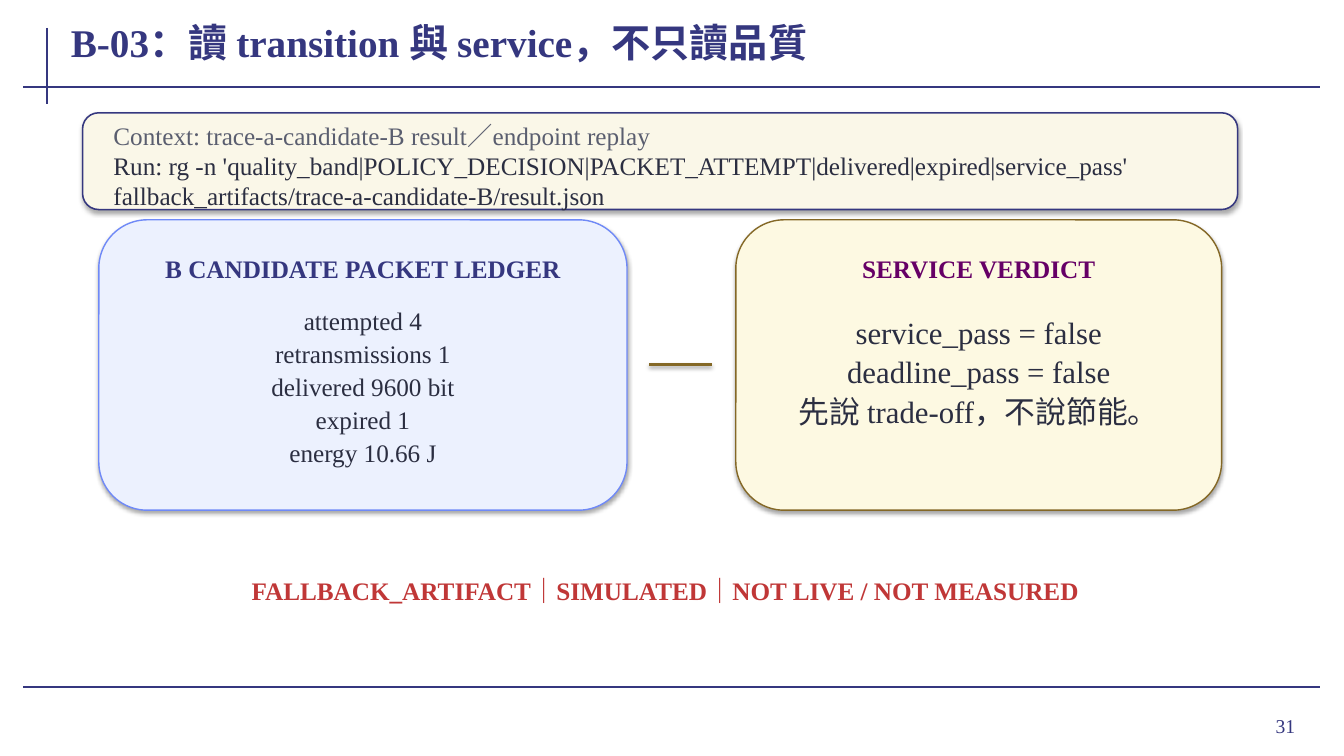
import pptx
import pptx.util
import pptx.dml.color
import pptx.enum.shapes
import pptx.enum.text
import pptx.oxml
import pptx.oxml.ns

Pt = pptx.util.Pt
RGBColor = pptx.dml.color.RGBColor
PP_ALIGN = pptx.enum.text.PP_ALIGN
MSO_ANCHOR = pptx.enum.text.MSO_ANCHOR
MSO_AUTO_SIZE = pptx.enum.text.MSO_AUTO_SIZE

NAVY = RGBColor(0x35, 0x37, 0x7F)
INK = RGBColor(0x2B, 0x2E, 0x41)
GRAY = RGBColor(0x5A, 0x5E, 0x6F)
PURPLE = RGBColor(0x66, 0x00, 0x66)
RED = RGBColor(0xC0, 0x37, 0x37)
BROWN = RGBColor(0x84, 0x68, 0x26)
BLUE = RGBColor(0x6F, 0x89, 0xF7)
CREAM = RGBColor(0xFA, 0xF7, 0xE8)
PALE_BLUE = RGBColor(0xEC, 0xF1, 0xFE)
PALE_YELLOW = RGBColor(0xFD, 0xF9, 0xE2)
BLACK = RGBColor(0x00, 0x00, 0x00)
FONT = "Times New Roman"


def write_text(frame, text, size=18, color=INK, bold=False,
               align=PP_ALIGN.LEFT, anchor=MSO_ANCHOR.TOP):
    frame.word_wrap = True
    frame.auto_size = MSO_AUTO_SIZE.NONE
    frame.vertical_anchor = anchor
    frame.margin_left = frame.margin_right = Pt(6)
    frame.margin_top, frame.margin_bottom = Pt(2), Pt(1.5)
    frame.text = text
    for paragraph in frame.paragraphs:
        paragraph.alignment = align
        paragraph.space_after = Pt(2)
        for run in paragraph.runs:
            run.font.name = FONT
            run.font.size = Pt(size)
            run.font.bold = bold
            run.font.color.rgb = color


def add_text(slide, box, text, **text_format):
    label = slide.shapes.add_textbox(*map(Pt, box))
    write_text(label.text_frame, text, **text_format)


def set_shadow(properties, opacity=0, distance=0):
    for effects in properties.findall(pptx.oxml.ns.qn("a:effectLst")):
        properties.remove(effects)
    shadow = (
        f'<a:outerShdw blurRad="{Pt(3.1)}" dist="{Pt(distance)}" dir="5400000" '
        f'rotWithShape="0"><a:srgbClr val="{BLACK}">'
        f'<a:alpha val="{opacity * 1000}"/></a:srgbClr></a:outerShdw>'
    ) if opacity else ""
    properties.append(pptx.oxml.parse_xml(
        f'<a:effectLst {pptx.oxml.ns.nsdecls("a")}>{shadow}</a:effectLst>'))


def add_line(slide, ends, color=NAVY, width=1.5, **shadow):
    line = slide.shapes.add_connector(
        pptx.enum.shapes.MSO_CONNECTOR.STRAIGHT, *map(Pt, ends))
    line.line.color.rgb = color
    line.line.width = Pt(width)
    set_shadow(line._element.spPr, **shadow)


def add_card(slide, box, fill, outline, width=1):
    card = slide.shapes.add_shape(
        pptx.enum.shapes.MSO_SHAPE.ROUNDED_RECTANGLE, *map(Pt, box))
    card.shadow.inherit = False
    card.fill.solid()
    card.fill.fore_color.rgb = fill
    card.line.color.rgb = outline
    card.line.width = Pt(width)
    set_shadow(card._element.spPr, opacity=35, distance=1.8)


def add_frame(slide, box, number):
    left, top, width, height = box
    right = left + width
    add_line(slide, (left + 17, top - 42, left + 17, top + 12))
    for y in (top, top + height):
        add_line(slide, (left, y, right, y))
    add_text(slide, (right - 82, top + height + 8, 70, 37.5), number, size=14,
             color=NAVY, align=PP_ALIGN.RIGHT, anchor=MSO_ANCHOR.MIDDLE)


def add_title(slide, box, text):
    title = slide.shapes.title
    title.left, title.top, title.width, title.height = map(Pt, box)
    write_text(title.text_frame, text, size=28, color=NAVY, bold=True)


def add_command(slide, box, context, command):
    left, top, width, height = box
    add_card(slide, box, CREAM, NAVY, width=1.1)
    add_text(slide, (left + 16, top + 3, width - 34.5, 18.7), context, color=GRAY)
    add_text(slide, (left + 16, top + 24.5, width - 34.5, 41.8), command)


def add_panel(slide, box, heading, body, fill, outline, heading_color,
              body_top, body_size):
    left, top, width, height = box
    add_card(slide, box, fill, outline)
    add_text(slide, (left + 20, top + 21.6, width - 40, 18.7), heading,
             color=heading_color, bold=True, align=PP_ALIGN.CENTER)
    add_text(slide, (left + 20, top + body_top, width - 40, height - body_top - 34),
             body, size=body_size, align=PP_ALIGN.CENTER)


def main():
    deck = pptx.Presentation()
    deck.slide_width, deck.slide_height = Pt(960), Pt(540)
    slide = deck.slides.add_slide(deck.slide_layouts[5])

    add_frame(slide, (16.6, 62, 926.6, 429), "31")
    add_title(slide, (44.6, 10.8, 899.3, 44.6),
              "B-03：讀 transition 與 service，不只讀品質")
    add_command(
        slide, (59, 80.6, 825.1, 69.1),
        "Context: trace-a-candidate-B result／endpoint replay",
        "Run: rg -n 'quality_band|POLICY_DECISION|PACKET_ATTEMPT|delivered|expired|"
        "service_pass' fallback_artifacts/trace-a-candidate-B/result.json")
    add_panel(
        slide, (70.6, 157, 377.3, 207.4), "B CANDIDATE PACKET LEDGER",
        "attempted 4\nretransmissions 1\ndelivered 9600 bit\nexpired 1\nenergy 10.66 J",
        PALE_BLUE, BLUE, NAVY, body_top=59, body_size=18)
    add_line(slide, (463.7, 260.6, 508.3, 260.6), color=BROWN, width=2,
             opacity=38, distance=1.6)
    add_panel(
        slide, (525.6, 157, 347, 207.4), "SERVICE VERDICT",
        "service_pass = false\ndeadline_pass = false\n先說 trade-off，不說節能。",
        PALE_YELLOW, BROWN, PURPLE, body_top=64.8, body_size=22)
    add_text(slide, (66.2, 409, 817.9, 21.6),
             "FALLBACK_ARTIFACT｜SIMULATED｜NOT LIVE / NOT MEASURED",
             color=RED, bold=True, align=PP_ALIGN.CENTER)

    deck.save("out.pptx")


if __name__ == "__main__":
    main()
